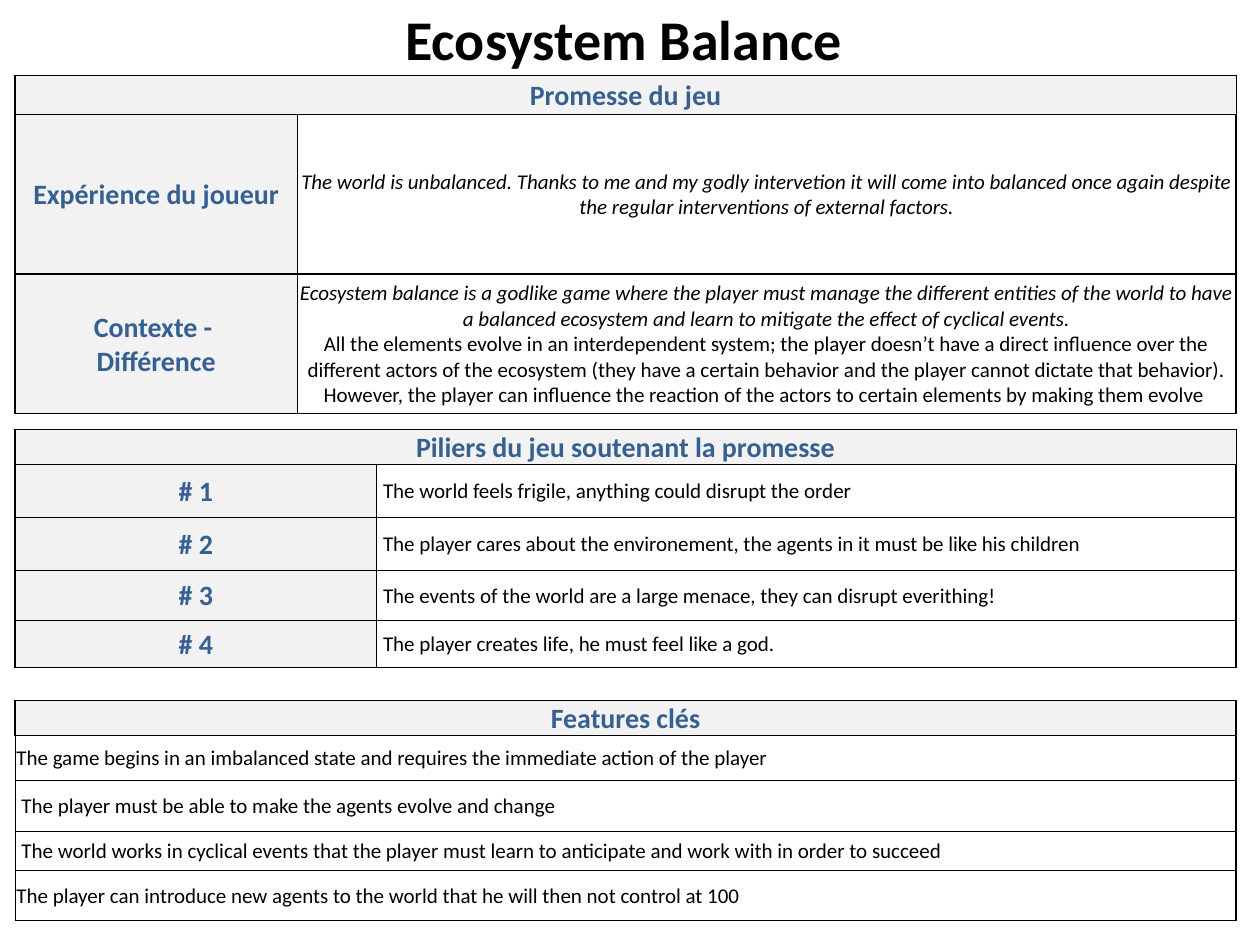
from lxml.etree import SubElement
from pptx import Presentation
from pptx.dml.color import RGBColor
from pptx.enum.text import MSO_ANCHOR, PP_ALIGN
from pptx.oxml.ns import qn
from pptx.util import Inches, Pt

COLORS = {"text": "000000", "heading": "376092", "shade": "F2F2F2", "border": "000000"}
FONT = "Calibri"
LEFT = 0.12
INSET, INDENT = 0.01, 0.05
THIN, THICK = 0.5, 1

# Content: each row is (height, cells); a cell is a list of paragraphs
TITLE = "Ecosystem Balance "
TABLES = [
    {"top": 0.6, "columns": [2.24, 7.45], "bottom": THICK, "header": True,
     "align": PP_ALIGN.CENTER, "italic_first": True, "rows": [
        (0.31, [["Promesse du jeu"]]),
        (1.26, [["Expérience du joueur"],
                ["The world is unbalanced. Thanks to me and my godly intervetion it will come "
                 "into balanced once again despite the regular interventions of external factors."]]),
     ]},
    {"top": 2.18, "columns": [2.24, 7.45], "bottom": THIN,
     "align": PP_ALIGN.CENTER, "italic_first": True, "rows": [
        (1.1, [["Contexte - ", "Différence"],
               ["Ecosystem balance is a godlike game where the player must manage the different "
                "entities of the world to have a balanced ecosystem and learn to mitigate the "
                "effect of cyclical events.",
                "All the elements evolve in an interdependent system; the player doesn’t have a "
                "direct influence over the different actors of the ecosystem (they have a certain "
                "behavior and the player cannot dictate that behavior). However, the player can "
                "influence the reaction of the actors to certain elements by making them evolve "]]),
     ]},
    {"top": 3.41, "columns": [2.87, 6.82], "bottom": THIN, "header": True,
     "indented": (1, 2, 3, 4), "rows": [
        (0.26, [["Piliers du jeu soutenant la promesse"]]),
        (0.42, [["# 1"], ["The world feels frigile, anything could disrupt the order"]]),
        (0.42, [["# 2"], ["The player cares about the environement, the agents in it must be "
                          "like his children"]]),
        (0.4, [["# 3"], ["The events of the world are a large menace, they can disrupt everithing!"]]),
        (0.37, [["# 4"], ["The player creates life, he must feel like a god."]]),
     ]},
    {"top": 5.56, "columns": [9.69], "bottom": THICK, "header": True,
     "indented": (2, 3), "rows": [
        (0.27, [["Features clés"]]),
        (0.36, [["The game begins in an imbalanced state and requires the immediate action "
                 "of the player"]]),
        (0.4, [["The player must be able to make the agents evolve and change"]]),
        (0.31, [["The world works in cyclical events that the player must learn to anticipate "
                 "and work with in order to succeed"]]),
        (0.4, [["The player can introduce new agents to the world that he will then not "
                "control at 100"]]),
     ]},
]


def write(frame, paragraphs, size=12, color="text", bold=False, italic_first=False,
          align=PP_ALIGN.LEFT):
    for index, text in enumerate(paragraphs):
        para = frame.paragraphs[0] if index == 0 else frame.add_paragraph()
        para.alignment = align
        span = para.add_run()
        span.text = text
        span.font.name = FONT
        span.font.size = Pt(size)
        span.font.bold = bold
        span.font.italic = italic_first and index == 0
        span.font.color.rgb = RGBColor.from_string(COLORS[color])


def set_borders(cell, left, right, top, bottom):
    properties = cell._tc.get_or_add_tcPr()
    for side, width in zip("LRTB", (left, right, top, bottom)):
        line = SubElement(properties, qn(f"a:ln{side}"), w=str(Pt(width)))
        fill = SubElement(line, qn("a:solidFill"))
        SubElement(fill, qn("a:srgbClr"), val=COLORS["border"])


def build_table(page, data):
    columns, rows = data["columns"], data["rows"]
    heights = [height for height, _ in rows]
    table = page.shapes.add_table(
        len(rows), len(columns), Inches(LEFT), Inches(data["top"]),
        Inches(sum(columns)), Inches(sum(heights))).table
    table.first_row = table.horz_banding = False
    for column, width in zip(table.columns, columns):
        column.width = Inches(width)
    for row, height in zip(table.rows, heights):
        row.height = Inches(height)

    has_header = data.get("header", False)
    last_row, last_column = len(rows) - 1, len(columns) - 1
    if has_header and last_column:
        table.cell(0, 0).merge(table.cell(0, last_column))

    for r, (_, contents) in enumerate(rows):
        is_header = has_header and r == 0
        for c in range(len(columns)):
            cell = table.cell(r, c)
            shaded = is_header or c < last_column
            set_borders(cell,
                        left=THICK if shaded and c == 0 else THIN,
                        right=THICK if c == last_column else THIN,
                        top=THICK if is_header else THIN,
                        bottom=data["bottom"] if r == last_row else THIN)
            if shaded:
                cell.fill.solid()
                cell.fill.fore_color.rgb = RGBColor.from_string(COLORS["shade"])
            else:
                cell.fill.background()
            indented = not shaded and r in data.get("indented", ())
            cell.margin_left = Inches(INDENT if indented else INSET)
            cell.margin_right = cell.margin_top = Inches(INSET)
            cell.margin_bottom = 0
            cell.vertical_anchor = MSO_ANCHOR.MIDDLE
            if c >= len(contents):
                continue
            if shaded:
                write(cell.text_frame, contents[c], size=16, color="heading", bold=True,
                      align=PP_ALIGN.CENTER)
            else:
                write(cell.text_frame, contents[c], align=data.get("align", PP_ALIGN.LEFT),
                      italic_first=data.get("italic_first", False))


def main():
    deck = Presentation()
    deck.slide_width, deck.slide_height = Inches(10), Inches(7.5)
    page = deck.slides.add_slide(deck.slide_layouts[6])

    # Title
    box = page.shapes.add_textbox(0, 0, Inches(10), Inches(0.6))
    box.text_frame.word_wrap = True
    box.text_frame.vertical_anchor = MSO_ANCHOR.MIDDLE
    write(box.text_frame, [TITLE], size=32, bold=True, align=PP_ALIGN.CENTER)

    # Tables
    for data in TABLES:
        build_table(page, data)

    deck.save("out.pptx")


if __name__ == "__main__":
    main()
